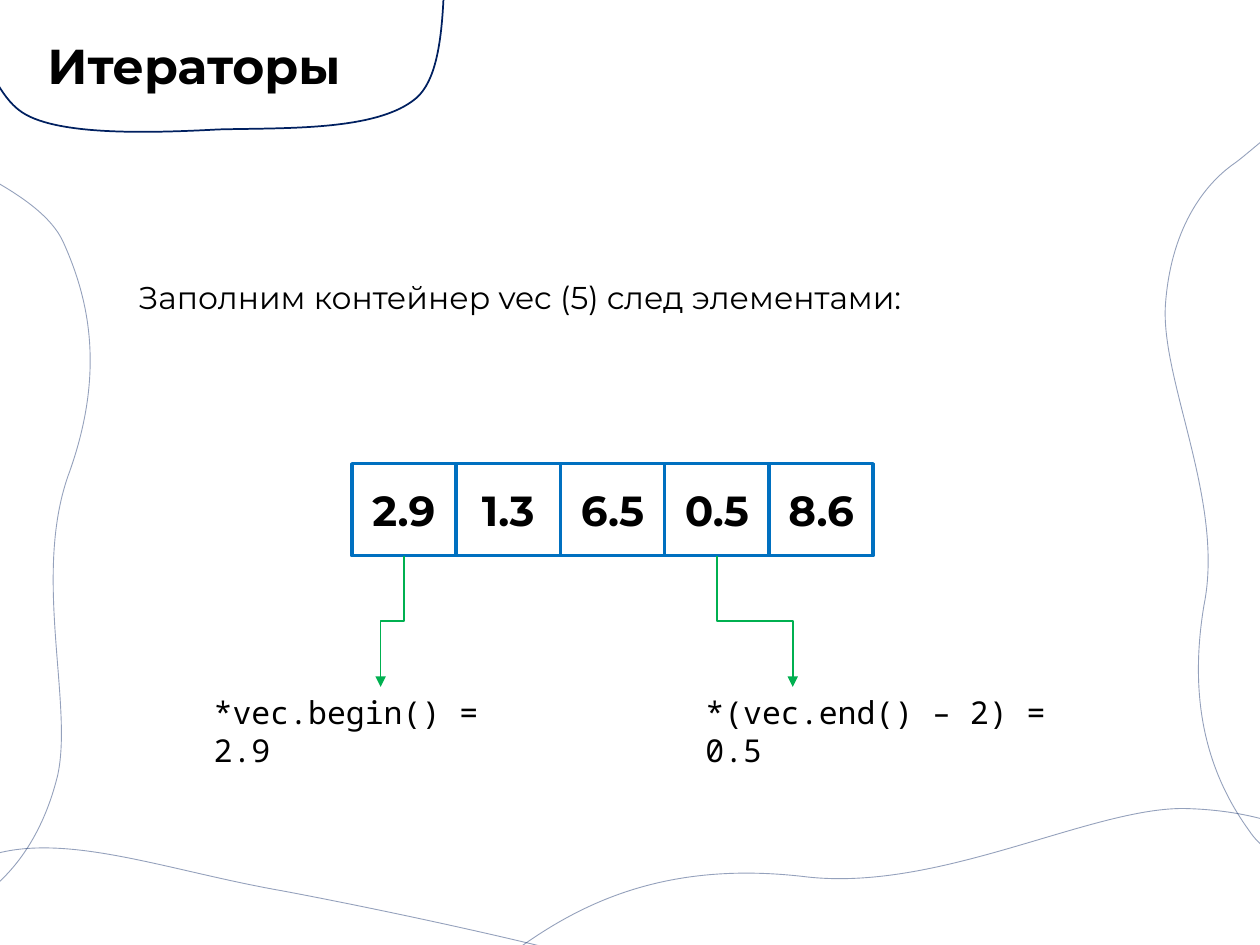
from lxml.etree import SubElement
from pptx import Presentation
from pptx.dml.color import RGBColor
from pptx.enum.shapes import MSO_CONNECTOR as Link, MSO_SHAPE as Form
from pptx.enum.text import MSO_ANCHOR as Anchor, MSO_AUTO_SIZE as Fit, PP_ALIGN as Align
from pptx.oxml.ns import qn
from pptx.util import Pt

BLACK = RGBColor(0, 0, 0)
WHITE = RGBColor(255, 255, 255)
NAVY = RGBColor(0x00, 0x20, 0x60)
BLUE = RGBColor(0x00, 0x70, 0xC0)
GREEN = RGBColor(0x00, 0xB0, 0x50)
SANS, MONO = "Montserrat", "Noto Sans Mono"

# Each curve is a start point, then three points for each Bezier part.
TAB = [(233, -11), (217, -23), (55, -11), (12, -12), (-31, -13), (-8, 49), (11, 63),
       (30, 78), (87, 76), (125, 74), (163, 73), (216, 75), (238, 56),
       (260, 37), (250, -33), (258, -42)]
WAVES = [
    [(-29, 120), (-46, 148), (-80, 428), (-94, 502), (-107, 577), (-41, 527), (-19, 517),
     (1, 507), (23, 484), (33, 443), (42, 402), (18, 327), (40, 269),
     (60, 212), (51, 171), (36, 138), (21, 106), (-45, 88), (-52, 73)],
    [(780, 482), (793, 453), (780, 171), (781, 95), (783, 19), (725, 79), (706, 93),
     (687, 106), (669, 132), (666, 174), (663, 217), (700, 287), (688, 346),
     (678, 406), (693, 446), (714, 475), (734, 505), (802, 511), (811, 526)],
    [(375, 559), (336, 545), (225, 521), (161, 509), (98, 498), (40, 476), (-3, 488),
     (-47, 500), (-79, 577), (-100, 582)],
    [(294, 622), (333, 636), (688, 600), (784, 596), (880, 593), (800, 527), (782, 505),
     (764, 482), (729, 463), (676, 462), (622, 462), (536, 510), (460, 501),
     (384, 492), (336, 514), (299, 540), (263, 567), (259, 651), (242, 663)],
]


def write(frame, text, size, font=SANS, bold=False):
    para = frame.paragraphs[0]
    para.text = text
    para.font.size, para.font.name = Pt(size), font
    para.font.bold, para.font.color.rgb = bold, BLACK
    return para


def add_text(slide, box, text, size, font=SANS, bold=False):
    frame = slide.shapes.add_textbox(*map(Pt, box)).text_frame
    frame.word_wrap = True
    frame.auto_size = Fit.SHAPE_TO_FIT_TEXT
    write(frame, text, size, font, bold)
    return frame


def add_curve(slide, points, width, alpha=None):
    """Draw an open line of cubic Bezier parts."""
    start, *rest = [(Pt(x), Pt(y)) for x, y in points]
    pen = slide.shapes.build_freeform(*start)
    pen.add_line_segments(rest, close=False)
    shape = pen.convert_to_shape()
    shape.shadow.inherit = False
    shape.fill.background()
    shape.line.width = Pt(width)
    shape.line.color.rgb = NAVY
    if alpha:
        color = shape.element.spPr.find(".//" + qn("a:ln")).find(".//" + qn("a:srgbClr"))
        SubElement(color, qn("a:alpha"), val=str(alpha * 1000))
    track = shape.element.spPr.find(".//" + qn("a:path"))
    lines = track.findall(qn("a:lnTo"))
    for i in range(0, len(lines), 3):
        bend = SubElement(track, qn("a:cubicBezTo"))
        for line in lines[i:i + 3]:
            bend.append(line[0])
            track.remove(line)


def add_arrow(slide, start, end):
    """Draw an elbow arrow that leaves downward, by turning a level one."""
    (x1, y1), (x2, y2) = start, end
    mid_x, mid_y = (x1 + x2) / 2, (y1 + y2) / 2
    side = 1 if x2 < x1 else -1
    reach, rise = side * (y2 - y1) / 2, abs(x2 - x1) / 2
    ends = mid_x - reach, mid_y - rise, mid_x + reach, mid_y + rise
    arrow = slide.shapes.add_connector(Link.ELBOW, *map(Pt, ends))
    arrow.line.color.rgb = GREEN
    arrow.line.width = Pt(1)
    props = arrow.element.spPr
    props.find(qn("a:xfrm")).set("rot", str((90 if side > 0 else 270) * 60000))
    SubElement(props.find(qn("a:ln")), qn("a:tailEnd"), type="triangle")
    SubElement(props, qn("a:effectLst"))


def add_title(slide, box, text):
    frame = add_text(slide, box, text, 28, bold=True)
    frame.auto_size = Fit.NONE
    frame.vertical_anchor = Anchor.MIDDLE
    frame.paragraphs[0].line_spacing = 0.9


def add_cells(slide, box, values):
    """Draw a row of equal cells and return the bottom centre of each."""
    left, top, width, height = box
    step = width / len(values)
    feet = []
    for i, value in enumerate(values):
        x = left + i * step
        cell = slide.shapes.add_shape(Form.RECTANGLE, *map(Pt, (x, top, step, height)))
        cell.shadow.inherit = False
        cell.fill.solid()
        cell.fill.fore_color.rgb = WHITE
        cell.line.color.rgb = BLUE
        cell.line.width = Pt(2)
        cell.text_frame.vertical_anchor = Anchor.MIDDLE
        write(cell.text_frame, value, 24, bold=True).alignment = Align.CENTER
        feet.append((x + step / 2, top + height))
    return feet


def add_note(slide, box, text, foot, shift):
    """Place code text and the arrow from a cell to its top edge."""
    left, top = box[:2]
    add_arrow(slide, foot, (left + shift, top))
    add_text(slide, box, text, 18, MONO)


def main():
    prs = Presentation()
    prs.slide_width, prs.slide_height = Pt(720), Pt(540)
    slide = prs.slides.add_slide(prs.slide_layouts[6])
    for wave in WAVES:
        add_curve(slide, wave, 0.5, 42)
    add_curve(slide, TAB, 1)
    add_title(slide, (20, 16.5, 212.5, 45.5), "Итераторы")
    add_text(slide, (72, 155.5, 461, 29), "Заполним контейнер vec (5) след элементами:", 18)
    feet = add_cells(slide, (201, 265, 298, 52.5), ["2.9", "1.3", "6.5", "0.5", "8.6"])
    add_note(slide, (115, 392.5, 205, 29), "*vec.begin() = 2.9", feet[0], 102.5)
    add_note(slide, (396, 392.5, 240.5, 29), "*(vec.end() – 2) = 0.5", feet[3], 57)
    prs.save("out.pptx")


if __name__ == "__main__":
    main()
